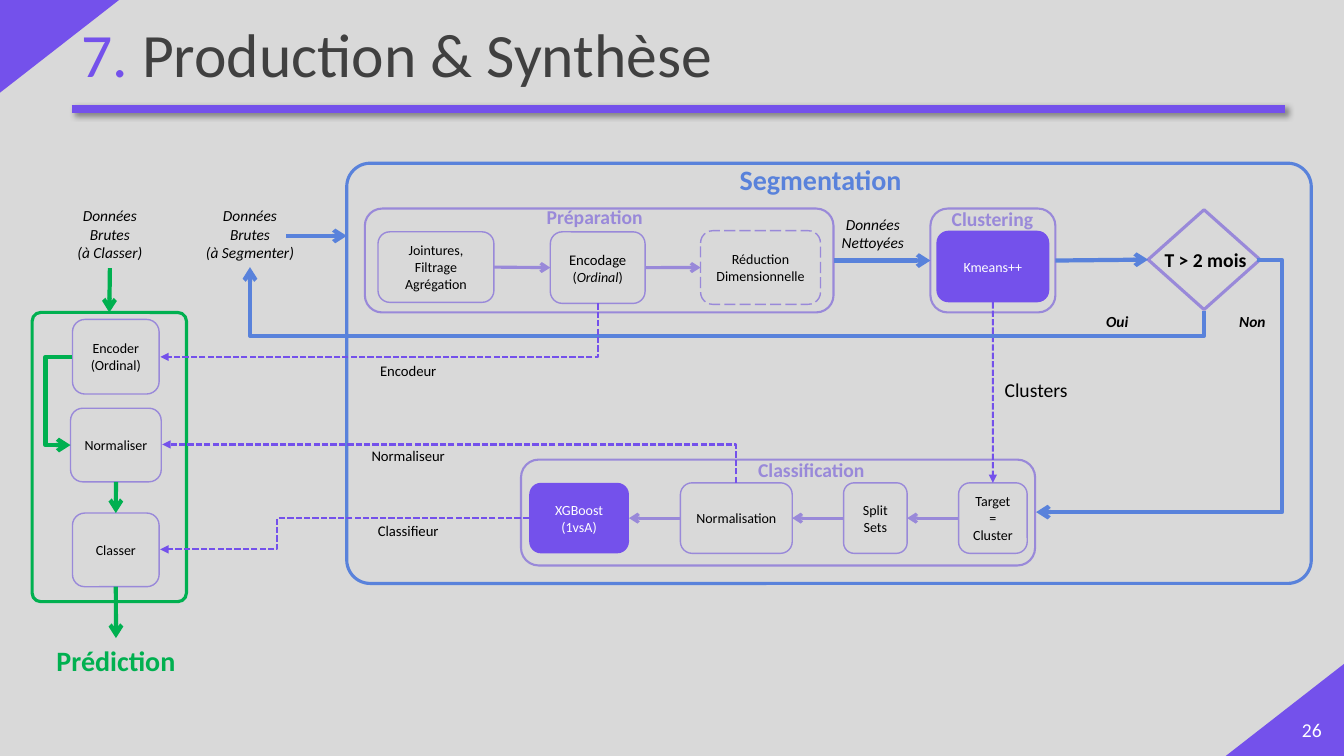
from lxml import etree
from pptx import Presentation
from pptx.dml.color import RGBColor
from pptx.enum.dml import MSO_LINE
from pptx.enum.shapes import MSO_CONNECTOR, MSO_SHAPE
from pptx.enum.text import MSO_ANCHOR, PP_ALIGN
from pptx.oxml.ns import qn
from pptx.util import Pt

COLORS = {"page": "D9D9D9", "violet": "7451EB", "lilac": "9989D9", "blue": "5982DB",
          "green": "00B050", "gray": "404040", "black": "000000", "white": "FFFFFF"}
FONT = "Calibri"
ROUNDED, DIAMOND, TRIANGLE = MSO_SHAPE.ROUNDED_RECTANGLE, MSO_SHAPE.DIAMOND, MSO_SHAPE.RIGHT_TRIANGLE
STRAIGHT, ELBOW = MSO_CONNECTOR.STRAIGHT, MSO_CONNECTOR.ELBOW
LONG_DASH, SHORT_DASH = MSO_LINE.LONG_DASH, MSO_LINE.SQUARE_DOT
MIDDLE, CENTER, LEFT_ALIGN = MSO_ANCHOR.MIDDLE, PP_ALIGN.CENTER, PP_ALIGN.LEFT
TOP, LEFT, BOTTOM, RIGHT = range(4)


def color(name):
    return RGBColor.from_string(COLORS[name])


def within(box, left, top, width, height):
    """Turn a place relative to a box into a place on the page."""
    return box[0] + left, box[1] + top, width, height


def write(shape, text, size, ink, bold=False, italic=False, align=CENTER):
    for index, line in enumerate(text.split("\n")):
        frame = shape.text_frame
        para = frame.add_paragraph() if index else frame.paragraphs[0]
        para.text = line
        para.alignment = align
        font = para.font
        font.name, font.size, font.bold, font.italic = FONT, Pt(size), bold, italic
        font.color.rgb = color(ink)


def add_label(page, place, text, size, ink="black", wrap=True, **style):
    label = page.shapes.add_textbox(*map(Pt, place))
    label.text_frame.word_wrap = wrap
    write(label, text, size, ink, **style)
    return label


def add_outline(page, place, kind=ROUNDED, line=None, width=1.0, fill=None, corner=None):
    shape = page.shapes.add_shape(kind, *map(Pt, place))
    shape.shadow.inherit = False
    if fill:
        shape.fill.solid()
        shape.fill.fore_color.rgb = color(fill)
    else:
        shape.fill.background()
    if line:
        shape.line.color.rgb = color(line)
        shape.line.width = Pt(width)
    else:
        shape.line.fill.background()
    if corner is not None:
        shape.adjustments[0] = corner
    return shape


def add_step(page, place, text, size=10, filled=False):
    step = add_outline(page, place, line=None if filled else "lilac",
                       fill="violet" if filled else None)
    step.text_frame.word_wrap = True
    step.text_frame.vertical_anchor = MIDDLE
    write(step, text, size, "white" if filled else "black")
    return step


def style_line(line, ink, width, arrow=None, dash=None):
    line.line.color.rgb = color(ink)
    line.line.width = Pt(width)
    if dash:
        line.line.dash_style = dash
    if arrow:
        etree.SubElement(line.line._get_or_add_ln(), qn("a:tailEnd"), type=arrow)
    return etree.SubElement(line._element.spPr, qn("a:effectLst"))


def join(page, start, start_side, end, end_side, ink, width, arrow="arrow", dash=None):
    line = page.shapes.add_connector(STRAIGHT, 0, 0, 0, 0)
    line.begin_connect(start, start_side)
    line.end_connect(end, end_side)
    style_line(line, ink, width, arrow, dash)


def add_elbow(page, start, end, ink, width, via=None, upright=False, arrow="arrow", dash=None):
    """Three legs turning at via, or two legs without it; upright leaves vertically."""
    (x1, y1), (x2, y2) = start, end
    line = page.shapes.add_connector(ELBOW, Pt(x1), Pt(y1), Pt(x2), Pt(y2))
    geometry = line._element.spPr.find(qn("a:prstGeom"))
    if upright:
        across, down = abs(x2 - x1), abs(y2 - y1)
        line.left, line.top = Pt((x1 + x2 - down) / 2), Pt((y1 + y2 - across) / 2)
        line.width, line.height = Pt(down), Pt(across)
        transform = line._element.spPr.find(qn("a:xfrm"))
        transform.set("rot", "5400000")
        transform.set("flipH", str(int(y2 < y1)))
        transform.set("flipV", str(int(x2 > x1)))
    if via is None:
        geometry.set("prst", "bentConnector2")
    else:
        ratio = (via - y1) / (y2 - y1) if upright else (via - x1) / (x2 - x1)
        guides = geometry.find(qn("a:avLst"))
        etree.SubElement(guides, qn("a:gd"), name="adj1", fmla=f"val {round(ratio * 100000)}")
    style_line(line, ink, width, arrow, dash)


def draw_header(page, box):
    # Corner triangles
    for left, top, turn in ((9.4, -9.4, 90), (884.9, 464.4, 270)):
        add_outline(page, within(box, left, top, 66.2, 85), TRIANGLE, fill="violet").rotation = turn
    # Title rule with its shadow
    rule = page.shapes.add_connector(STRAIGHT, Pt(51.4), Pt(77.8), Pt(918), Pt(77.8))
    effects = style_line(rule, "violet", 6)
    shadow = etree.SubElement(effects, qn("a:outerShdw"), blurRad=str(Pt(4)), dist=str(Pt(3)),
                              dir="2700000", algn="tl", rotWithShape="0")
    tone = etree.SubElement(shadow, qn("a:srgbClr"), val=COLORS["black"])
    etree.SubElement(tone, qn("a:alpha"), val="40000")
    # Title and page number
    title = add_label(page, within(box, 51.1, -10.8, 889.9, 104.4), "7.", 44, "violet",
                      align=LEFT_ALIGN)
    title.text_frame.vertical_anchor = MIDDLE
    para = title.text_frame.paragraphs[0]
    para.line_spacing = 0.9
    span = para.add_run()
    span.text = " Production & Synthèse"
    span.font.color.rgb = color("gray")
    number = add_label(page, within(box, 918, 506.9, 38.2, 28.8), "26", 14, "white")
    number.text_frame.vertical_anchor = MIDDLE


def draw_preparation(page, box):
    frame = add_outline(page, box, line="lilac", width=1.5)
    add_label(page, within(box, 88.6, -6.5, 151.2, 24.5), "Préparation", 14, "lilac", bold=True)
    tables = add_step(page, within(box, 9.4, 16.6, 82.8, 50.4), "Jointures,\nFiltrage\nAgrégation")
    encoding = add_step(page, within(box, 132.5, 16.6, 67.7, 51.1), "Encodage", 10.5)
    reduction = add_step(page, within(box, 239.8, 15.8, 85.7, 52.6), "Réduction Dimensionnelle")
    reduction.line.dash_style = LONG_DASH
    para = encoding.text_frame.add_paragraph()
    para.alignment = CENTER
    para.font.name, para.font.size = FONT, Pt(10)
    para.font.color.rgb = color("black")
    for text, italic in (("(", False), ("Ordinal", True), (")", False)):
        span = para.add_run()
        span.text, span.font.italic = text, italic
    join(page, tables, RIGHT, encoding, LEFT, "lilac", 2.25)
    join(page, encoding, RIGHT, reduction, LEFT, "lilac", 2.25)
    return frame


def draw_clustering(page, box):
    frame = add_outline(page, box, line="lilac", width=1.5)
    kmeans = add_step(page, within(box, 4.3, 15.8, 80.6, 51.1), "Kmeans++", filled=True)
    add_label(page, within(box, -10.8, -5, 110.2, 24.5), "Clustering", 14, "lilac", bold=True)
    return frame, kmeans


def draw_classification(page, box):
    add_outline(page, box, line="lilac", width=1.5)
    add_label(page, within(box, 131.8, -5, 151.2, 24.5), "Classification", 14, "lilac", bold=True)
    steps = [add_step(page, within(box, left, 16.6, width, 50.4), text, filled=text[0] == "X")
             for left, width, text in ((312.5, 49, "Target = Cluster"), (230.4, 45.4, "Split Sets"),
                                       (113.8, 79.9, "Normalisation"), (5.8, 71.3, "XGBoost (1vsA)"))]
    for start, end in zip(steps, steps[1:]):
        join(page, start, LEFT, end, RIGHT, "lilac", 2.25)
    return steps[0]


def draw_prediction(page, box):
    frame = add_outline(page, box, line="green", width=2.25, corner=0.056)
    source = add_label(page, within(box, 5.8, -79.2, 99.4, 47.5),
                       "Données\nBrutes\n(à Classer)", 11, italic=True)
    result = add_label(page, within(box, -35.2, 232.6, 190.1, 31.7), "Prédiction", 20, "green", bold=True)
    add_step(page, within(box, 28.8, 5, 61.9, 53.3), "Encoder\n(Ordinal)")
    scaler = add_step(page, within(box, 27.4, 68.4, 64.8, 52.6), "Normaliser")
    classifier = add_step(page, within(box, 28.8, 143.3, 61.9, 52.6), "Classer")
    left, top = box[:2]
    add_elbow(page, (left + 28.8, top + 31.7), (left + 27.4, top + 94.7), "green", 3, via=left + 9.4)
    for start, end in ((source, frame), (scaler, classifier), (classifier, result)):
        join(page, start, BOTTOM, end, TOP, "green", 3)


def draw_segmentation(page, box):
    left, top = box[:2]
    add_outline(page, box, line="blue", width=2.25, corner=0.056)
    add_label(page, within(box, 243.4, -4.3, 190.1, 31.7), "Segmentation", 20, "blue", bold=True)
    preparation = draw_preparation(page, within(box, 12.9, 32.4, 334.8, 74.2))
    clustering, kmeans = draw_clustering(page, within(box, 416.9, 32.4, 89.3, 74.2))
    target = draw_classification(page, within(box, 124.5, 211.7, 367.2, 75.6))
    # Test on the age of the model
    test = add_outline(page, within(box, 572.4, 33.2, 79.9, 71.3), DIAMOND, "lilac", 2.25)
    add_label(page, within(box, 576.7, 56.9, 73.4, 24.5), "T > 2 mois", 14, wrap=False, bold=True)
    for text, offset in (("Oui", 526.3), ("Non", 622.8)):
        add_label(page, within(box, offset, 103, 48.2, 20.9), text, 11, bold=True, italic=True)
    # Data flow
    add_label(page, within(box, -108, 27.4, 77.8, 47.5), "Données\nBrutes\n(à Segmenter)", 11, italic=True)
    add_label(page, within(box, 326.1, 33.2, 99.4, 33.8), "Données Nettoyées", 11, italic=True)
    add_label(page, within(box, 448.5, 149.8, 87.8, 24.5), "Clusters", 14)
    entry = page.shapes.add_connector(STRAIGHT, Pt(left - 43.2), Pt(top + 51.9), Pt(left), Pt(top + 51.9))
    style_line(entry, "blue", 3, "arrow")
    join(page, preparation, RIGHT, clustering, LEFT, "blue", 3)
    join(page, clustering, RIGHT, test, LEFT, "blue", 3)
    join(page, kmeans, BOTTOM, target, TOP, "violet", 1.5, "triangle", SHORT_DASH)
    add_elbow(page, (left + 650.2, top + 69.2), (left + 492.4, top + 249.2), "blue", 3, via=left + 668.2)
    add_elbow(page, (left + 612.4, top + 105.2), (left - 69.1, top + 74.2), "blue", 3,
              via=top + 123.2, upright=True)


def draw_model_links(page, box):
    """Trained models handed from segmentation to prediction."""
    left, top = box[:2]
    for text, offset in (("Encodeur", 0), ("Normaliseur", 60.5), ("Classifieur", 114.5)):
        add_label(page, within(box, 133.2, offset, 87.8, 20.2), text, 10.5)
    for start, end, turn in (((312.5, -38.2), (0, 0), None), ((411.1, 90), (1.4, 62.6), None),
                             ((263.5, 115.2), (0, 137.5), left + 83.5)):
        add_elbow(page, (left + start[0], top + start[1]), (left + end[0], top + end[1]), "violet",
                  1.5, via=turn, upright=turn is None, arrow="triangle", dash=SHORT_DASH)


def main():
    deck = Presentation()
    deck.slide_width, deck.slide_height = Pt(960), Pt(540)
    page = deck.slides.add_slide(deck.slide_layouts[6])
    page.background.fill.solid()
    page.background.fill.fore_color.rgb = color("page")
    draw_header(page, (0, 0, 960, 540))
    draw_segmentation(page, (247.7, 116.6, 689, 300.2))
    draw_prediction(page, (23, 223.2, 110.2, 206.6))
    draw_model_links(page, (114.5, 254.9, 411.1, 137.5))
    deck.save("out.pptx")


if __name__ == "__main__":
    main()
